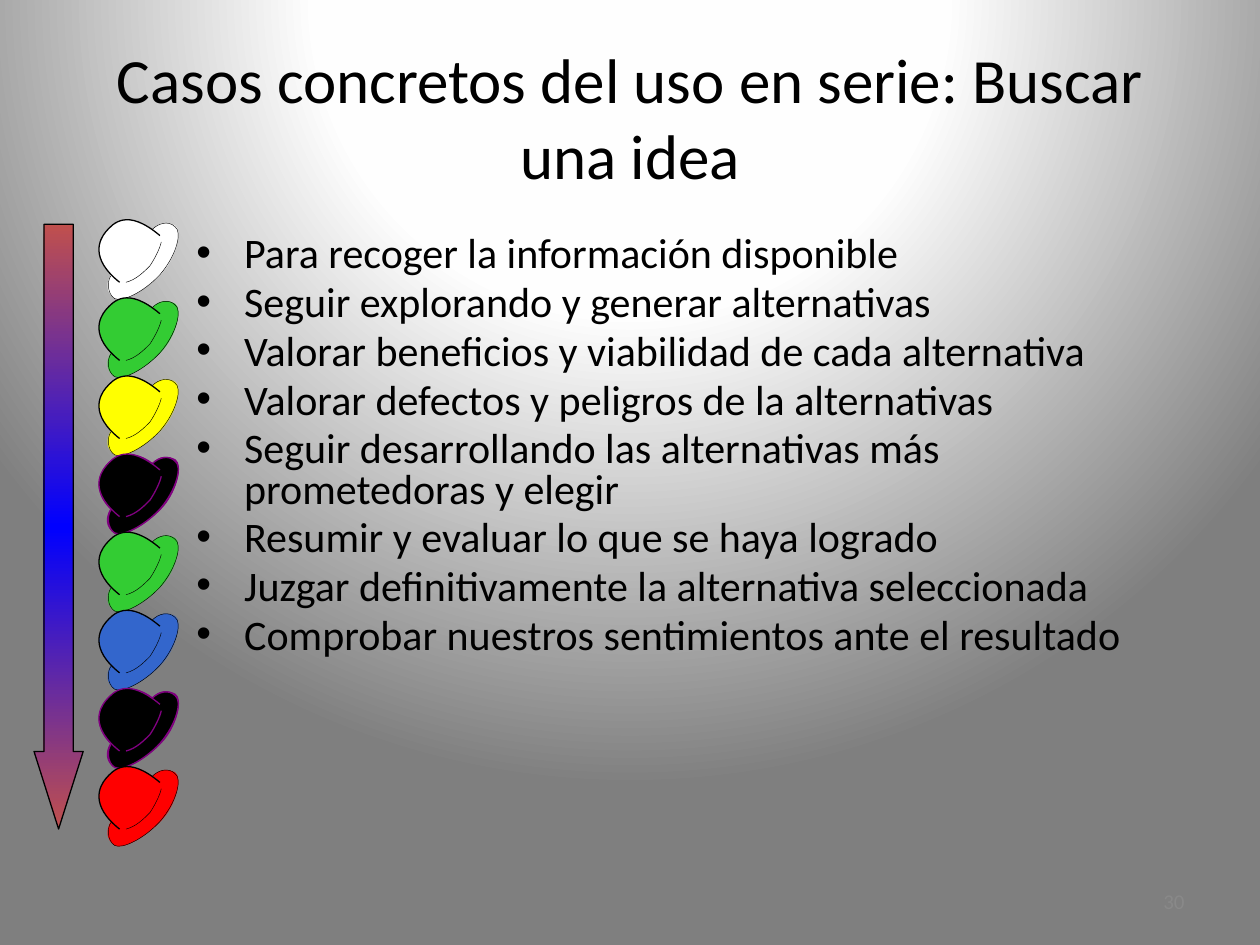
from pptx import Presentation
from pptx.dml.color import RGBColor
from pptx.enum.shapes import MSO_SHAPE
from pptx.enum.text import MSO_ANCHOR, PP_ALIGN
from pptx.oxml import parse_xml
from pptx.oxml.ns import nsdecls
from pptx.util import Inches, Pt

COLORS = {
    "white": "FFFFFF", "green": "33CC33", "yellow": "FFFF00", "black": "000000",
    "blue": "3366CC", "red": "FF0000", "purple": "800080", "number": "898989",
    "arrow_end": "C0504D", "arrow_middle": "0000FF",
    "glow": "FEFEFE", "edge": "7F7F7F",
}
FONT = "Calibri"
TITLE = "Casos concretos del uso en serie: Buscar una idea"
PAGE_NUMBER = "30"
STEPS = [
    "Para recoger la información disponible",
    "Seguir explorando y generar alternativas",
    "Valorar beneficios y viabilidad de cada alternativa",
    "Valorar defectos y peligros de la alternativas",
    "Seguir desarrollando las alternativas más prometedoras y elegir",
    "Resumir y evaluar lo que se haya logrado",
    "Juzgar definitivamente la alternativa seleccionada",
    "Comprobar nuestros sentimientos ante el resultado",
]
HATS = ["white", "green", "yellow", "black", "green", "blue", "black", "red"]

# Top hat, in hundredths of an inch: start, then three points for each
# Bézier segment, and the outline width (0 = closed without outline)
HAT_PITCH = 62
HAT_PARTS = [
    ((88, 218), [
        (84, 225), (84, 232), (91, 237), (99, 241), (120, 227), (130, 215),
        (140, 203), (145, 183), (139, 179), (133, 176), (127, 176), (121, 182),
        (112, 175), (97, 170), (85, 183), (74, 196), (79, 209), (88, 218)], 0),
    ((88, 219), [
        (85, 223), (85, 233), (91, 237), (97, 240), (114, 232), (127, 218),
        (140, 203), (145, 184), (139, 180), (134, 175), (126, 177), (121, 182)], 0.25),
    ((100, 224), [
        (108, 222), (114, 216), (119, 211), (123, 205), (127, 197), (128, 192)], 0.25),
    ((95, 224), [
        (71, 205), (79, 190), (84, 184), (90, 177), (101, 165), (127, 187)], 0.75),
]


def rgb(name):
    return RGBColor.from_string(COLORS[name])


def set_gradient(fill, owner, stops, direction):
    fill.gradient()
    old = owner.xpath(".//a:gradFill")[0]
    marks = "".join(f'<a:gs pos="{percent * 1000}"><a:srgbClr val="{COLORS[name]}"/></a:gs>'
                    for percent, name in stops)
    old.getparent().replace(old, parse_xml(
        f'<a:gradFill {nsdecls("a")} rotWithShape="1"><a:gsLst>{marks}</a:gsLst>{direction}</a:gradFill>'))


def add_text(page, place, lines, size, color="black", align=PP_ALIGN.LEFT, anchor=MSO_ANCHOR.TOP):
    frame = page.shapes.add_textbox(*map(Inches, place)).text_frame
    frame.word_wrap = True
    frame.vertical_anchor = anchor
    frame.text = "\n".join(lines)
    for para in frame.paragraphs:
        para.alignment = align
        font = para.runs[0].font
        font.name, font.size = FONT, Pt(size)
        font.color.rgb = rgb(color)
    return frame


def add_bullet(para):
    para.line_spacing = 0.8
    para.space_before = Pt(4.8)
    properties = para._p.get_or_add_pPr()
    properties.set("marL", str(Inches(0.38)))
    properties.set("indent", str(-Inches(0.38)))
    properties.append(parse_xml(f'<a:buFont {nsdecls("a")} typeface="Arial"/>'))
    properties.append(parse_xml(f'<a:buChar {nsdecls("a")} char="•"/>'))


def bend_lines(shape):
    """Turn every three straight segments into one cubic Bézier segment."""
    lines = shape.element.xpath(".//a:lnTo")
    for index in range(0, len(lines), 3):
        curve = parse_xml(f'<a:cubicBezTo {nsdecls("a")}/>')
        lines[index].addprevious(curve)
        for line in lines[index:index + 3]:
            curve.append(line[0])
            line.getparent().remove(line)


def add_hat(page, color, drop):
    for (left, top), points, width in HAT_PARTS:
        builder = page.shapes.build_freeform(left, top + drop, scale=Inches(0.01))
        builder.add_line_segments([(x, y + drop) for x, y in points], close=width == 0)
        part = builder.convert_to_shape()
        bend_lines(part)
        part.shadow.inherit = False
        part.fill.solid()
        part.fill.fore_color.rgb = rgb(color)
        if color == "black":
            part.line.color.rgb = rgb("purple")
            part.line.width = Pt(0.75)
        elif width:
            part.line.color.rgb = rgb("black")
            part.line.width = Pt(width)
        else:
            part.line.fill.background()


def add_arrow(page):
    arrow = page.shapes.add_shape(
        MSO_SHAPE.DOWN_ARROW, Inches(0.27), Inches(1.78), Inches(0.39), Inches(4.8))
    arrow.adjustments[0] = 0.595
    arrow.adjustments[1] = 1.577
    arrow.shadow.inherit = False
    set_gradient(arrow.fill, arrow.element,
                 [(0, "arrow_end"), (50, "arrow_middle"), (100, "arrow_end")],
                 '<a:lin ang="5400000" scaled="1"/>')
    arrow.line.color.rgb = rgb("black")
    arrow.line.width = Pt(0.75)


def main():
    deck = Presentation()
    deck.slide_width, deck.slide_height = Inches(10), Inches(7.5)
    page = deck.slides.add_slide(deck.slide_layouts[6])
    set_gradient(page.background.fill, page.element,
                 [(0, "white"), (40, "glow"), (100, "edge")],
                 '<a:path path="circle"><a:fillToRect l="50000" t="-80000" r="50000" b="180000"/></a:path>')
    add_text(page, (0.5, 0.3, 9, 1.25), [TITLE], 36,
             align=PP_ALIGN.CENTER, anchor=MSO_ANCHOR.MIDDLE)
    steps = add_text(page, (1.46, 1.83, 8.04, 4.83), STEPS, 24)
    for para in steps.paragraphs:
        add_bullet(para)
    add_text(page, (7.17, 6.95, 2.33, 0.4), [PAGE_NUMBER], 12, "number",
             PP_ALIGN.RIGHT, MSO_ANCHOR.MIDDLE)
    for row, color in enumerate(HATS):
        add_hat(page, color, row * HAT_PITCH)
    add_arrow(page)
    deck.save("out.pptx")


if __name__ == "__main__":
    main()
